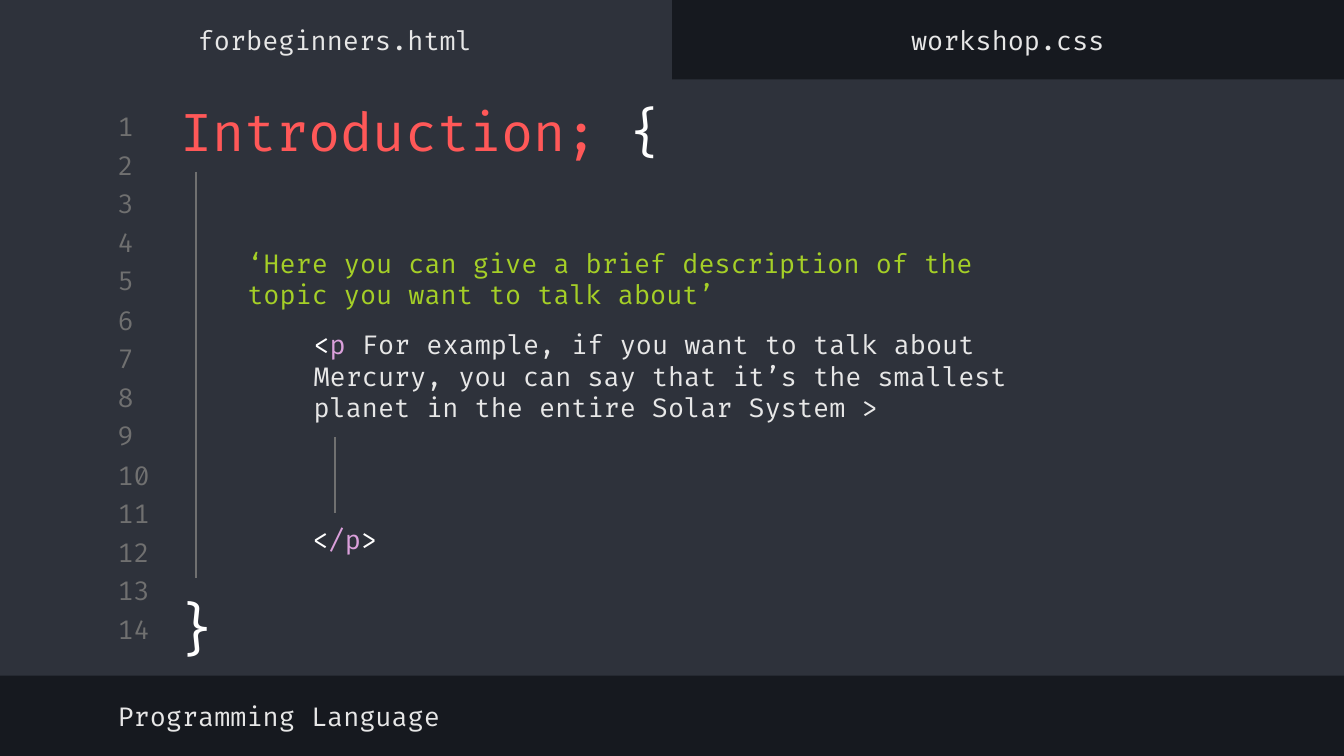
from pptx import Presentation
from pptx.dml.color import RGBColor
from pptx.enum.shapes import MSO_CONNECTOR, MSO_SHAPE
from pptx.enum.text import MSO_ANCHOR, PP_ALIGN
from pptx.oxml.ns import qn
from pptx.util import Pt
from lxml import etree

PX = 6350
FONT = "Fira Code"
RECT = MSO_SHAPE.RECTANGLE
STRAIGHT = MSO_CONNECTOR.STRAIGHT
TOP, MIDDLE = MSO_ANCHOR.TOP, MSO_ANCHOR.MIDDLE
LEFT, CENTER = PP_ALIGN.LEFT, PP_ALIGN.CENTER

INK = RGBColor(0x16, 0x19, 0x1F)
PANEL = RGBColor(0x2E, 0x32, 0x3B)
GRAY = RGBColor(0x70, 0x70, 0x70)
RED = RGBColor(0xFF, 0x58, 0x58)
WHITE = RGBColor(0xFF, 0xFF, 0xFF)
LIGHT = RGBColor(0xE7, 0xE7, 0xE7)
GREEN = RGBColor(0xA5, 0xCF, 0x27)
PINK = RGBColor(0xDB, 0xA0, 0xDB)


def px(*values):
    """Turn px lengths into EMU."""
    return [v * PX for v in values]


def add_panel(slide, *box):
    """Add a flat editor panel."""
    sp = slide.shapes.add_shape(RECT, *px(*box))
    sp.shadow.inherit = False
    sp.fill.solid()
    sp.fill.fore_color.rgb = PANEL
    sp.line.fill.background()


def add_guide(slide, x, top, bottom):
    """Add a vertical indentation guide."""
    line = slide.shapes.add_connector(STRAIGHT, *px(x, top, x, bottom))
    line.line.color.rgb = GRAY
    line.line.width = Pt(0.75)
    etree.SubElement(line._element.spPr, qn("a:effectLst"))


def fill_paragraph(p, runs, size=14, align=LEFT):
    """Write (text, colour) runs into a paragraph."""
    p.alignment = align
    p.font.name = FONT
    p.font.size = Pt(size)
    for text, color in runs:
        r = p.add_run()
        r.text = text
        r.font.color.rgb = color


def add_text(slide, box, runs, size=14, align=LEFT, anchor=MIDDLE):
    """Add a one-paragraph text box and return its frame."""
    tf = slide.shapes.add_textbox(*px(*box)).text_frame
    tf.word_wrap = True
    tf.vertical_anchor = anchor
    tf.margin_left, tf.margin_top, tf.margin_right, tf.margin_bottom = px(14, 14, 14, 14)
    fill_paragraph(tf.paragraphs[0], runs, size, align)
    return tf


def add_line_numbers(slide, count, first, last):
    """Spread the line numbers evenly between two tops."""
    for i in range(count):
        y = first + (last - first) * i // (count - 1)
        add_text(slide, (112, y, 68, 35), [(str(i + 1), GRAY)])


def add_description(slide):
    """Add the quoted description and the indented example."""
    quote = "‘Here you can give a brief description of the topic you want to talk about’"
    example = (" For example, if you want to talk about Mercury, you can say "
               "that it’s the smallest planet in the entire Solar System >")
    tf = add_text(slide, (251, 248, 873, 222), [(quote, GREEN)])
    p = tf.add_paragraph()
    fill_paragraph(p, [("<", WHITE), ("p", PINK), (example, LIGHT)])
    p.space_before = Pt(10)
    pPr = p._p.get_or_add_pPr()
    pPr.set("marL", str(71 * PX))
    pPr.set("indent", "0")


def main():
    """Build the slide."""
    prs = Presentation()
    prs.slide_width, prs.slide_height = px(1440, 810)
    s = prs.slides.add_slide(prs.slide_layouts[6])
    s.background.fill.solid()
    s.background.fill.fore_color.rgb = INK

    add_panel(s, 0, 85, 1440, 639)
    add_panel(s, 0, 0, 720, 94)
    add_line_numbers(s, 14, 118, 657)

    add_text(s, (179, 98, 636, 84), [("Introduction; ", RED), ("{", WHITE)], 28)
    add_description(s)
    add_text(s, (171, 622, 79, 102), [("}", WHITE)], 30, CENTER, TOP)
    add_guide(s, 210, 184, 619)
    add_guide(s, 359, 468, 550)
    closing_tag = [("<", WHITE), ("/p", PINK), (">", WHITE)]
    add_text(s, (317, 547, 105, 63), closing_tag, align=CENTER, anchor=TOP)

    add_text(s, (112, 739, 766, 56), [("Programming Language", LIGHT)])
    for x, name in ((-1, "forbeginners.html"), (720, "workshop.css")):
        add_text(s, (x, 15, 720, 56), [(name, LIGHT)], align=CENTER)

    prs.save("out.pptx")


if __name__ == "__main__":
    main()
